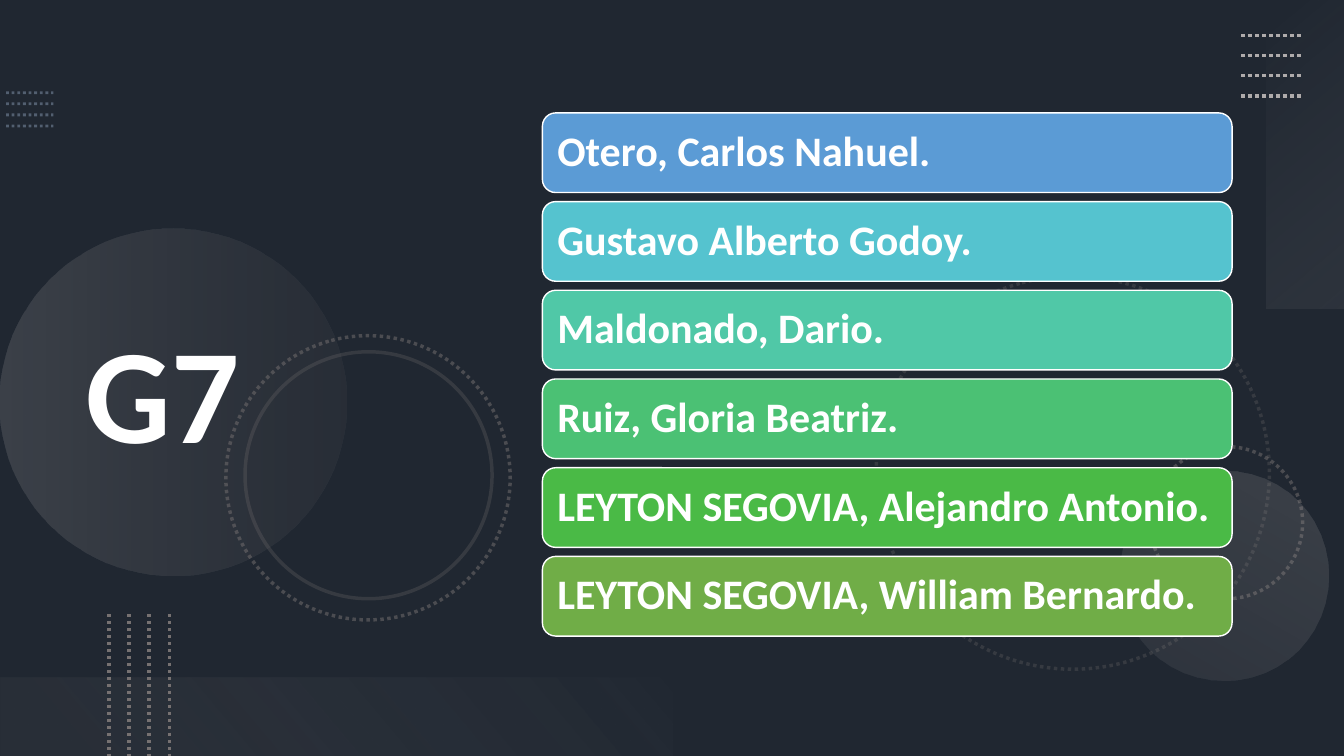
from dataclasses import dataclass

from lxml import etree
from pptx import Presentation
from pptx.dml.color import RGBColor
from pptx.enum.dml import MSO_LINE
from pptx.enum.shapes import MSO_CONNECTOR, MSO_SHAPE
from pptx.enum.text import MSO_ANCHOR, PP_ALIGN
from pptx.oxml.ns import qn
from pptx.util import Inches, Pt

RECT, OVAL, BAR = MSO_SHAPE.RECTANGLE, MSO_SHAPE.OVAL, MSO_SHAPE.ROUNDED_RECTANGLE
STRAIGHT = MSO_CONNECTOR.STRAIGHT
DOTS = MSO_LINE.ROUND_DOT
MIDDLE, LEFT = MSO_ANCHOR.MIDDLE, PP_ALIGN.LEFT
WIDTH, HEIGHT = 13.33, 7.5


@dataclass(frozen=True)
class Theme:
    font: str = "Calibri"
    title_size: int = 96
    name_size: int = 30
    line_width: float = 2.5
    backdrop: str = "44546A"
    shade: str = "000000"
    text: str = "FFFFFF"
    grey: str = "767171"
    silver: str = "AFABAB"
    mist: str = "F5F5F5"
    slate: str = "8497B0"


THEME = Theme()
MEMBERS = [
    ("Otero, Carlos Nahuel.", "5B9BD5"),
    ("Gustavo Alberto Godoy.", "55C3CF"),
    ("Maldonado, Dario.", "50C8A7"),
    ("Ruiz, Gloria Beatriz.", "4BC174"),
    ("LEYTON SEGOVIA, Alejandro Antonio.", "4ABA46"),
    ("LEYTON SEGOVIA, William Bernardo.", "70AD47"),
]


def rgb(color):
    return RGBColor.from_string(color)


def set_opacity(clr, percent):
    etree.SubElement(clr, qn("a:alpha"), val=str(percent * 1000))


def add_shape(slide, kind, box, rotation=0):
    """Add a shape with neither shadow, fill nor line."""
    sp = slide.shapes.add_shape(kind, *map(Inches, box))
    sp.shadow.inherit = False
    sp.fill.background()
    sp.line.fill.background()
    sp.rotation = rotation
    return sp


def set_line(sp, color, width=THEME.line_width, dash=None, opacity=100):
    sp.line.color.rgb = rgb(color)
    sp.line.width = Pt(width)
    if dash:
        sp.line.dash_style = dash
    if opacity < 100:
        set_opacity(sp._element.xpath(".//a:ln//a:srgbClr")[0], opacity)


def set_gradient(sp, stops, angle):
    """Fill with two (position, colour, opacity) stops; angle runs clockwise."""
    sp.fill.gradient()
    sp.fill.gradient_angle = 360 - angle
    for stop, (position, color, _) in zip(sp.fill.gradient_stops, stops):
        stop.position = position
        stop.color.rgb = rgb(color)
    for clr, (_, _, opacity) in zip(sp._element.xpath(".//a:gradFill//a:srgbClr"), stops):
        set_opacity(clr, opacity)


def write(sp, text, size, margin):
    tf = sp.text_frame
    tf.word_wrap = True
    tf.vertical_anchor = MIDDLE
    tf.margin_left = tf.margin_right = Inches(margin)
    p = tf.paragraphs[0]
    p.alignment = LEFT
    p.line_spacing = 0.9
    r = p.add_run()
    r.text = text
    r.font.name = THEME.font
    r.font.size = Pt(size)
    r.font.bold = True
    r.font.color.rgb = rgb(THEME.text)


def dotted_lines(slide, box, color, vertical=False, width=THEME.line_width, opacity=100, count=4):
    """Spread parallel dotted lines evenly over the box."""
    x, y, w, h = box
    for i in range(count):
        share = i / (count - 1)
        if vertical:
            ends = (x + w * share, y, x + w * share, y + h)
        else:
            ends = (x, y + h * share, x + w, y + h * share)
        line = slide.shapes.add_connector(STRAIGHT, *map(Inches, ends))
        set_line(line, color, width, DOTS, opacity)
        etree.SubElement(line._element.spPr, qn("a:effectLst"))


def ring(slide, x, y, size, rotation, opacity, dash=DOTS):
    sp = add_shape(slide, OVAL, (x, y, size, size), rotation)
    set_line(sp, THEME.grey, dash=dash, opacity=opacity)


def glow(slide, kind, box, rotation, stops, angle):
    set_gradient(add_shape(slide, kind, box, rotation), stops, angle)


def backdrop(slide):
    t = THEME
    slide.background.fill.solid()
    slide.background.fill.fore_color.rgb = rgb(t.backdrop)
    shade = add_shape(slide, RECT, (0, 0, WIDTH, HEIGHT))
    shade.fill.solid()
    shade.fill.fore_color.rgb = rgb(t.shade)
    set_opacity(shade._element.xpath(".//a:solidFill/a:srgbClr")[0], 53)

    dotted_lines(slide, (0.06, 0.92, 0.47, 0.33), t.slate, width=2, opacity=50)
    ring(slide, 8.69, 2.74, 3.9, 75, opacity=25)
    ring(slide, 11.41, 4.43, 1.51, 270, opacity=50)
    glow(slide, OVAL, (0, 2.27, 3.44, 3.44), 270,
         [(0, t.silver, 20), (1, t.grey, 10)], 90)
    glow(slide, OVAL, (11.1, 4.67, 2.08, 2.08), 210,
         [(0, t.silver, 10), (1, t.silver, 20)], 90)
    ring(slide, 2.24, 3.33, 2.82, 75, opacity=50)
    ring(slide, 2.43, 3.49, 2.45, 75, opacity=25, dash=None)
    glow(slide, RECT, (11.42, 1.14, 3.06, 0.78), 270,
         [(0, t.mist, 0), (1, t.silver, 10)], 140)
    dotted_lines(slide, (12.31, 0.35, 0.6, 0.6), t.silver)
    glow(slide, RECT, (0, 6.72, WIDTH / 2, 0.78), 180,
         [(0.1, t.grey, 10), (1, t.mist, 0)], 140)
    dotted_lines(slide, (1.08, 6.09, 0.6, 1.41), t.grey, vertical=True)


def group_title(slide, box, text):
    write(slide.shapes.add_textbox(*map(Inches, box)), text, THEME.title_size, 0.1)


def member_list(slide, box, members, gap=0.09):
    """Stack one bar per member, filling the box."""
    x, y, w, h = box
    pitch = (h + gap) / len(members)
    for i, (name, color) in enumerate(members):
        sp = add_shape(slide, BAR, (x, y + i * pitch, w, pitch - gap))
        sp.fill.solid()
        sp.fill.fore_color.rgb = rgb(color)
        set_line(sp, THEME.text, width=1)
        write(sp, name, THEME.name_size, 0.11)


def main():
    prs = Presentation()
    prs.slide_width, prs.slide_height = Inches(WIDTH), Inches(HEIGHT)
    slide = prs.slides.add_slide(prs.slide_layouts[6])
    backdrop(slide)
    group_title(slide, (0.75, 3.19, 1.88, 1.55), "G7")
    member_list(slide, (5.38, 1.12, 6.84, 5.19), MEMBERS)
    prs.save("out.pptx")


if __name__ == "__main__":
    main()
